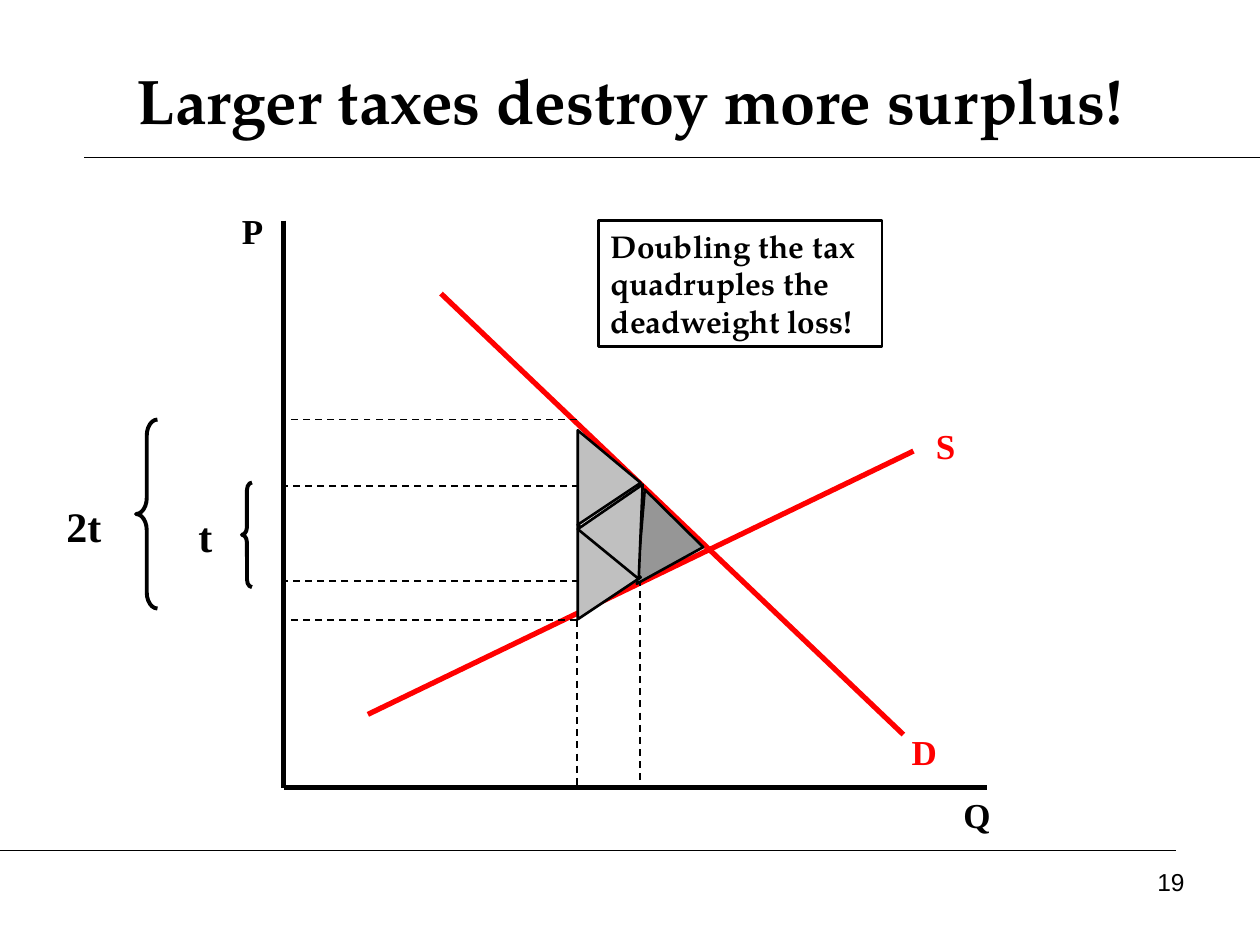
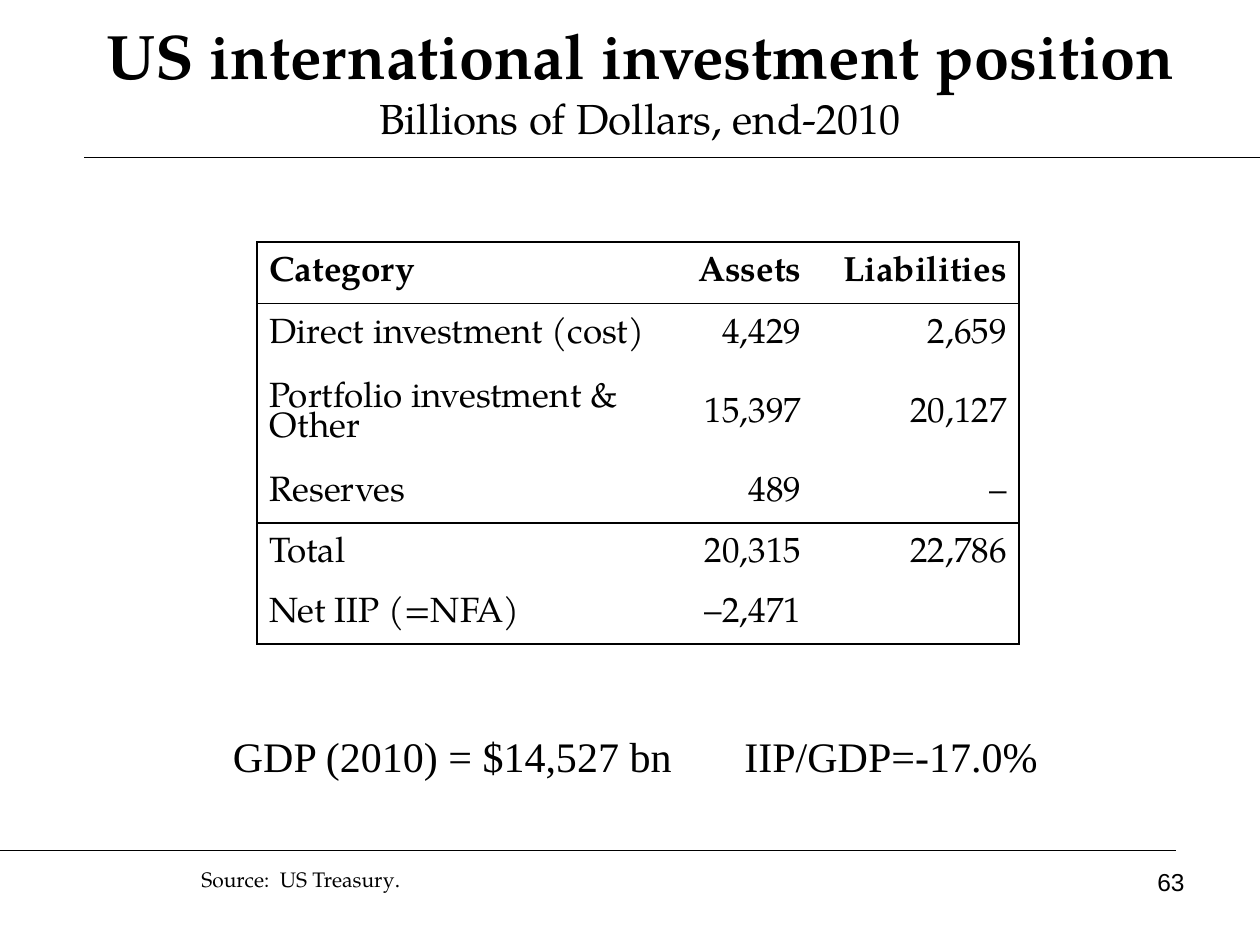
import dataclasses

import lxml.etree
import pptx
import pptx.dml.color
import pptx.enum.dml
import pptx.enum.shapes
import pptx.enum.text
import pptx.oxml.ns
import pptx.util

Inches = pptx.util.Inches
Pt = pptx.util.Pt
Shape = pptx.enum.shapes.MSO_SHAPE
Align = pptx.enum.text.PP_ALIGN
Anchor = pptx.enum.text.MSO_ANCHOR
qn = pptx.oxml.ns.qn


@dataclasses.dataclass(frozen=True)
class Theme:
    ink: str = "000000"
    curve: str = "FF0000"
    light_loss: str = "C0C0C0"
    dark_loss: str = "969696"
    heading_font: str = "TeX Gyre Pagella"
    label_font: str = "Times New Roman"
    number_font: str = "Arial"
    title_size: float = 36
    large_size: float = 24
    label_size: float = 20
    callout_size: float = 18
    number_size: float = 14
    source_size: float = 12
    rule_width: float = 0.75
    guide_width: float = 1
    border_width: float = 1.08
    outline_width: float = 1.5
    brace_width: float = 2.25
    axis_width: float = 3


def rgb(color):
    return pptx.dml.color.RGBColor.from_string(color)


class Deck:
    def __init__(self, theme):
        self.theme = theme
        self.presentation = pptx.Presentation()
        self.presentation.slide_width = Inches(10)
        self.presentation.slide_height = Inches(7.5)
        self.slide = None

    def new_slide(self, number):
        theme = self.theme
        self.slide = self.presentation.slides.add_slide(self.presentation.slide_layouts[6])
        for left, right, y in ((0.67, 10, 1.25), (0, 9.33, 6.75),
                               (1.25, 10, 1.25), (0, 7.08, 6.75)):
            self.line((left, y), (right, y), theme.rule_width)
        self.text((7.17, 6.83, 2.33, 0.52), str(number), theme.number_size,
                  theme.number_font, align=Align.RIGHT)

    def style(self, paragraph, size, font, bold=False, color=None, align=Align.LEFT):
        paragraph.alignment = align
        paragraph.font.size = Pt(size)
        paragraph.font.name = font
        paragraph.font.bold = bold
        paragraph.font.color.rgb = rgb(color or self.theme.ink)

    def text(self, box, words, size, font, bold=False, color=None,
             align=Align.LEFT, anchor=Anchor.TOP, tab=None):
        shape = self.slide.shapes.add_textbox(*map(Inches, box))
        frame = shape.text_frame
        frame.word_wrap = True
        frame.vertical_anchor = anchor
        paragraph = frame.paragraphs[0]
        paragraph.add_run().text = words
        if tab:
            tabs = lxml.etree.SubElement(paragraph._p.get_or_add_pPr(), qn("a:tabLst"))
            lxml.etree.SubElement(tabs, qn("a:tab"), pos=str(Inches(tab)), algn="l")
        self.style(paragraph, size, font, bold, color, align)
        return shape

    def label(self, box, words, size=None, color=None):
        self.text(box, words, size or self.theme.label_size, self.theme.label_font,
                  bold=True, color=color, align=Align.CENTER)

    def title(self, left, top, words, subtitle=None):
        theme = self.theme
        shape = self.text((left, top, 9, 0.92), words, theme.title_size, theme.heading_font,
                          bold=True, align=Align.CENTER, anchor=Anchor.MIDDLE)
        if subtitle:
            paragraph = shape.text_frame.paragraphs[0]
            paragraph.add_line_break()
            run = paragraph.add_run()
            run.text = subtitle
            run.font.size = Pt(theme.large_size)
            run.font.bold = False

    def line(self, start, end, width, color=None, dashed=False):
        connector = self.slide.shapes.add_connector(
            pptx.enum.shapes.MSO_CONNECTOR.STRAIGHT, *map(Inches, (*start, *end)))
        connector.line.width = Pt(width)
        connector.line.color.rgb = rgb(color or self.theme.ink)
        if dashed:
            connector.line.dash_style = pptx.enum.dml.MSO_LINE.DASH
        lxml.etree.SubElement(connector._element.spPr, qn("a:effectLst"))

    def guide(self, start, end):
        self.line(start, end, self.theme.guide_width, dashed=True)

    def shape(self, kind, box, width, fill=None, adjustment=None, rotation=0):
        shape = self.slide.shapes.add_shape(kind, *map(Inches, box))
        shape.shadow.inherit = False
        shape.line.width = Pt(width)
        shape.line.color.rgb = rgb(self.theme.ink)
        if fill:
            shape.fill.solid()
            shape.fill.fore_color.rgb = rgb(fill)
        else:
            shape.fill.background()
        if adjustment is not None:
            shape.adjustments[0] = adjustment
        shape.rotation = rotation
        return shape

    def triangle(self, left, top, fill, rotation=90, apex=0.556):
        self.shape(Shape.ISOSCELES_TRIANGLE, (left, top, 0.75, 0.5),
                   self.theme.outline_width, fill, apex, rotation)

    def brace(self, box):
        self.shape(Shape.LEFT_BRACE, box, self.theme.brace_width, adjustment=0.75)

    def callout(self, box, words):
        theme = self.theme
        frame = self.shape(Shape.RECTANGLE, box, theme.outline_width).text_frame
        frame.word_wrap = True
        frame.vertical_anchor = Anchor.TOP
        frame.text = words
        self.style(frame.paragraphs[0], theme.callout_size, theme.heading_font, bold=True)

    def borders(self, cell, sides):
        properties = cell._tc.get_or_add_tcPr()
        for index, side in enumerate("LRTB"):
            border = lxml.etree.Element(qn(f"a:ln{side}"), w=str(Pt(self.theme.border_width)))
            if side in sides:
                fill = lxml.etree.SubElement(border, qn("a:solidFill"))
                lxml.etree.SubElement(fill, qn("a:srgbClr"), val=self.theme.ink)
            else:
                lxml.etree.SubElement(border, qn("a:noFill"))
            properties.insert(index, border)

    def table(self, left, top, widths, heights, rows, ruled_rows):
        theme = self.theme
        table = self.slide.shapes.add_table(
            len(rows), len(widths), Inches(left), Inches(top),
            Inches(sum(widths)), Inches(sum(heights))).table
        table.first_row = table.horz_banding = False
        for column, width in zip(table.columns, widths):
            column.width = Inches(width)
        for r, (values, height) in enumerate(zip(rows, heights)):
            table.rows[r].height = Inches(height)
            for c, value in enumerate(values):
                cell = table.cell(r, c)
                cell.text = value
                cell.vertical_anchor = Anchor.MIDDLE
                cell.fill.background()
                paragraph = cell.text_frame.paragraphs[0]
                paragraph.line_spacing = 0.85
                self.style(paragraph, theme.label_size, theme.heading_font, bold=r == 0,
                           align=Align.RIGHT if c else Align.LEFT)
                edges = {"L": c == 0, "R": c == len(widths) - 1,
                         "T": r == 0 or r - 1 in ruled_rows, "B": r in ruled_rows}
                self.borders(cell, [side for side, ruled in edges.items() if ruled])


def tax_slide(deck):
    theme = deck.theme
    deck.new_slide(19)
    axis_x, axis_y = 2.25, 6.25
    deck.line((axis_x, 1.75), (axis_x, axis_y), theme.axis_width)
    deck.line((7.83, axis_y), (axis_x, axis_y), theme.axis_width)
    deck.line((7.25, 3.58), (2.92, 5.67), theme.axis_width, theme.curve)
    deck.line((3.5, 2.33), (7.17, 5.83), theme.axis_width, theme.curve)

    for left, top, words, color in ((7.42, 6.25, "Q", theme.ink), (1.67, 1.61, "P", theme.ink),
                                    (7, 5.75, "D", theme.curve), (7.17, 3.32, "S", theme.curve)):
        deck.label((left, top, 0.67, 0.44), words, color=color)

    for quantity, prices, top in ((5.08, (4.61, 3.86), 3.92), (4.58, (3.33, 4.92), 4.92)):
        for price in prices:
            deck.guide((quantity, price), (axis_x, price))
        deck.guide((quantity, top), (quantity, axis_y))

    deck.triangle(4.96, 4.03, theme.dark_loss, rotation=94.8)
    deck.triangle(4.46, 4.29, theme.light_loss)
    deck.triangle(4.46, 3.54, theme.light_loss)
    deck.triangle(4.46, 3.96, theme.light_loss, rotation=272.4, apex=0.5)

    deck.brace((1.92, 3.83, 0.08, 0.83))
    deck.brace((1.08, 3.33, 0.17, 1.5))
    deck.label((1.42, 4, 0.42, 0.5), "t", theme.large_size)
    deck.label((0.33, 3.92, 0.67, 0.5), "2t", theme.large_size)
    deck.title(0.5, 0.33, "Larger taxes destroy more surplus!")
    deck.callout((4.75, 1.75, 2.25, 1), "Doubling the tax quadruples the deadweight loss!")


def investment_slide(deck):
    theme = deck.theme
    deck.new_slide(63)
    deck.title(0.58, 0.17, "US international investment position",
               "Billions of Dollars, end-2010")
    positions = (
        ("Category", "Assets", "Liabilities"),
        ("Direct investment (cost)", "4,429", "2,659"),
        ("Portfolio investment & Other", "15,397", "20,127"),
        ("Reserves", "489", "–"),
        ("Total", "20,315", "22,786"),
        ("Net IIP (=NFA)", "–2,471", ""),
    )
    deck.table(2.04, 1.92, (3.27, 1.15, 1.63), (0.49, 0.49, 0.77, 0.48, 0.48, 0.48),
               positions, ruled_rows=(0, 3, 5))
    source = deck.text((1.5, 6.83, 3.83, 0.3), "Source:  US Treasury",
                       theme.source_size, theme.heading_font)
    period = source.text_frame.paragraphs[0].add_run()
    period.text = "."
    period.font.name = theme.label_font
    deck.text((1.75, 5.75, 6.67, 0.5), "GDP (2010) = $14,527 bn\tIIP/GDP=-17.0%",
              theme.large_size, theme.label_font, tab=4.06)


def main():
    deck = Deck(Theme())
    tax_slide(deck)
    investment_slide(deck)
    deck.presentation.save("out.pptx")


if __name__ == "__main__":
    main()
